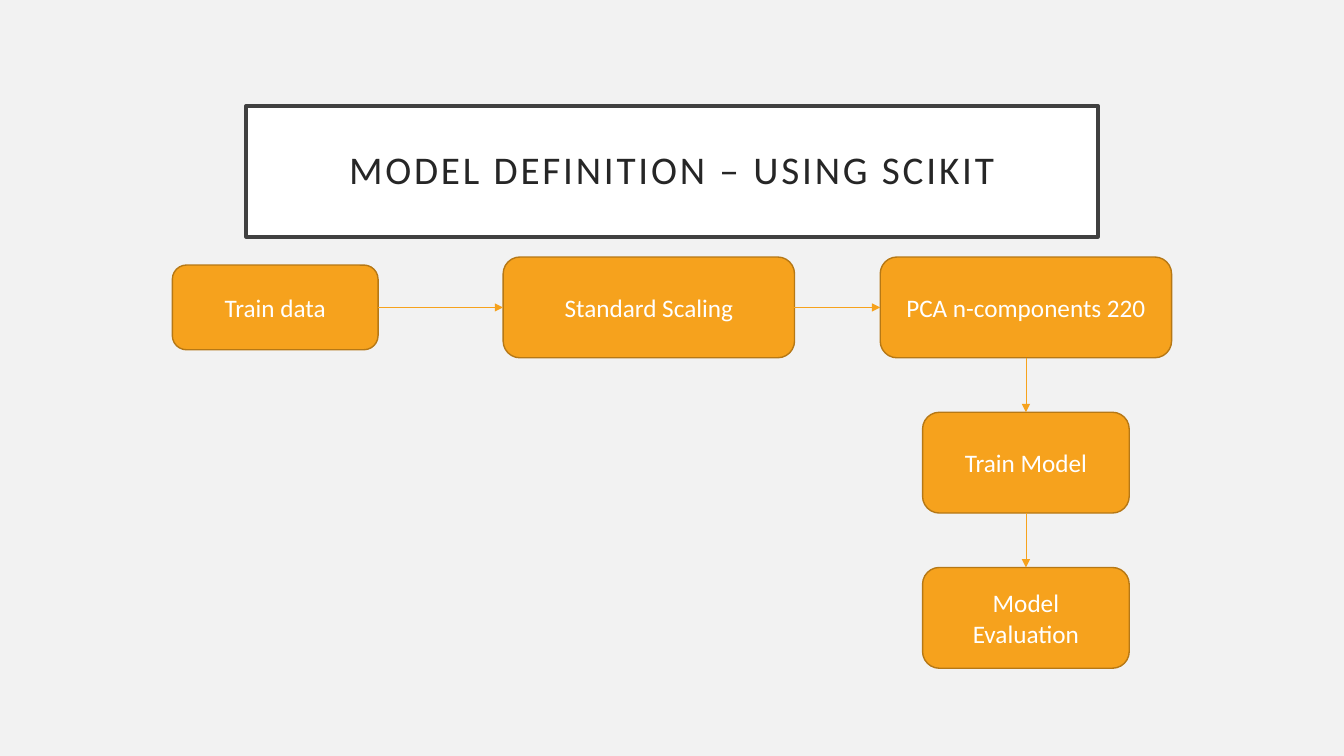
from dataclasses import dataclass
from itertools import pairwise

from lxml import etree
from pptx import Presentation
from pptx import util as u
from pptx.dml.color import RGBColor
from pptx.enum import shapes, text
from pptx.oxml.ns import qn
from pptx.shapes.autoshape import Shape
from pptx.slide import Slide

COLORS = {
    "page": "F2F2F2",
    "white": "FFFFFF",
    "frame": "404040",
    "title": "262626",
    "step": "F6A21D",
    "step_edge": "B67815",
}
TOP, LEFT, BOTTOM, RIGHT = range(4)
ROW_Y = 3.05
COLUMN_X = 10.175
STEP_HEIGHT = 1.0
STEP_PITCH = 1.54


@dataclass
class Step:
    label: str
    center_x: float
    center_y: float
    width: float
    height: float = STEP_HEIGHT


STEPS = [
    Step("Train data", 2.73, ROW_Y, 2.04, 0.84),
    Step("Standard Scaling", 6.435, ROW_Y, 2.89),
    Step("PCA n-components 220", COLUMN_X, ROW_Y, 2.89),
    Step("Train Model", COLUMN_X, ROW_Y + STEP_PITCH, 2.05),
    Step("Model Evaluation", COLUMN_X, ROW_Y + 2 * STEP_PITCH, 2.05),
]


def rgb(name: str) -> RGBColor:
    return RGBColor.from_string(COLORS[name])


def style_box(box: Shape, fill: str, edge: str, edge_width: float) -> None:
    box.fill.solid()
    box.fill.fore_color.rgb = rgb(fill)
    box.line.color.rgb = rgb(edge)
    box.line.width = u.Pt(edge_width)


def write_centered(box: Shape, words: str, size: int, color: str) -> None:
    frame = box.text_frame
    frame.word_wrap = True
    frame.auto_size = text.MSO_AUTO_SIZE.NONE
    frame.vertical_anchor = text.MSO_ANCHOR.MIDDLE
    para = frame.paragraphs[0]
    para.text = words
    para.alignment = text.PP_ALIGN.CENTER
    para.font.name = "Calibri"
    para.font.size = u.Pt(size)
    para.font.color.rgb = rgb(color)


def add_title(page: Slide) -> None:
    box = page.shapes.title
    box.left, box.top = u.Inches(2.44), u.Inches(1.05)
    box.width, box.height = u.Inches(8.45), u.Inches(1.3)
    style_box(box, "white", "frame", 2.5)
    write_centered(box, "MODEL DEFINITION – USING SCIKIT", 28, "title")
    frame = box.text_frame
    frame.margin_left = frame.margin_right = u.Inches(0.2)
    frame.margin_top = frame.margin_bottom = u.Inches(0.2)
    para = frame.paragraphs[0]
    para.line_spacing = 0.9
    span = para.runs[0]
    span.font._element.set("spc", "200")


def add_step(page: Slide, step: Step) -> Shape:
    box = page.shapes.add_shape(
        shapes.MSO_SHAPE.ROUNDED_RECTANGLE,
        u.Inches(step.center_x - step.width / 2),
        u.Inches(step.center_y - step.height / 2),
        u.Inches(step.width),
        u.Inches(step.height),
    )
    box.shadow.inherit = False
    style_box(box, "step", "step_edge", 1)
    write_centered(box, step.label, 18, "white")
    return box


def add_arrow(page: Slide, source: Shape, target: Shape, down: bool) -> None:
    arrow = page.shapes.add_connector(shapes.MSO_CONNECTOR.STRAIGHT, 0, 0, 0, 0)
    arrow.begin_connect(source, BOTTOM if down else RIGHT)
    arrow.end_connect(target, TOP if down else LEFT)
    arrow.line.color.rgb = rgb("step")
    arrow.line.width = u.Pt(0.5)
    properties = arrow._element.spPr
    etree.SubElement(properties.find(qn("a:ln")), qn("a:tailEnd"), type="triangle")
    etree.SubElement(properties, qn("a:effectLst"))


def main() -> None:
    deck = Presentation()
    deck.slide_width, deck.slide_height = u.Inches(13.33), u.Inches(7.5)
    page = deck.slides.add_slide(deck.slide_layouts.get_by_name("Title Only"))
    page.background.fill.solid()
    page.background.fill.fore_color.rgb = rgb("page")

    add_title(page)
    placed = [(step, add_step(page, step)) for step in STEPS]
    for (step, source), (following, target) in pairwise(placed):
        add_arrow(page, source, target, down=step.center_x == following.center_x)
    deck.save("out.pptx")


if __name__ == "__main__":
    main()
